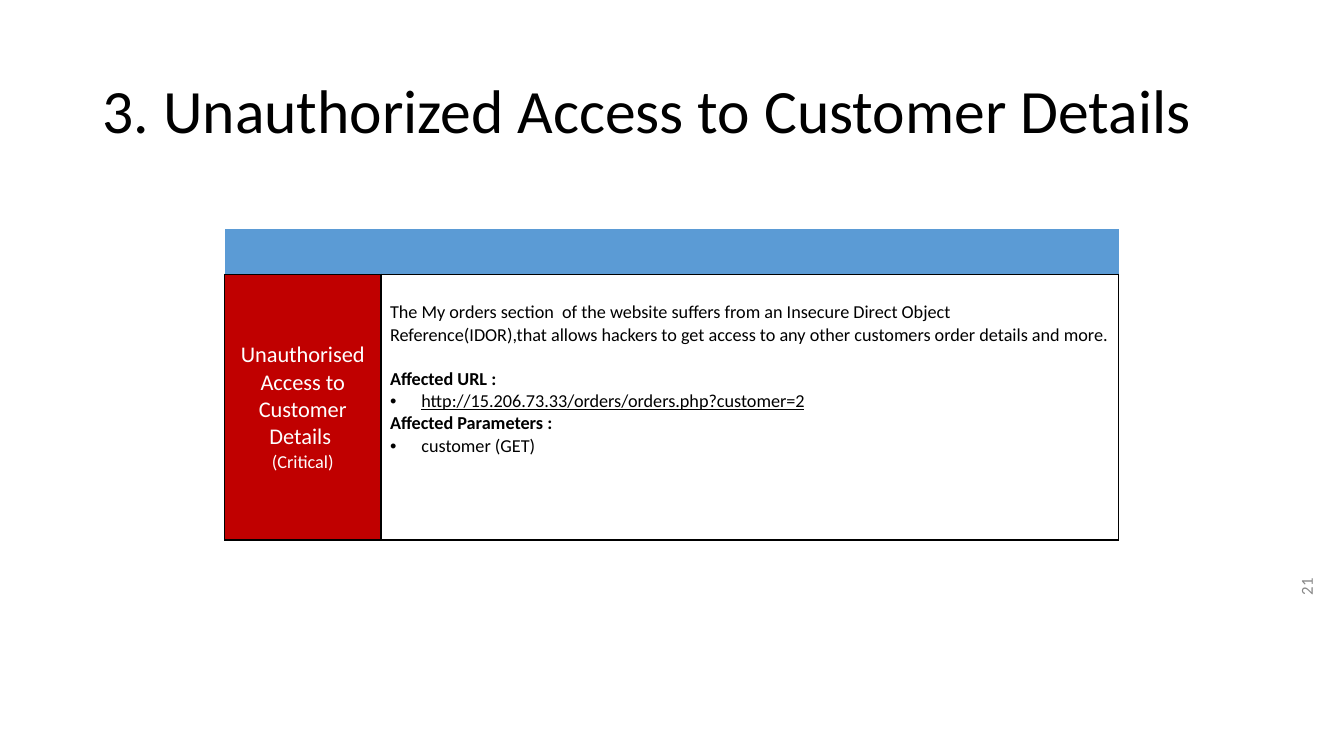
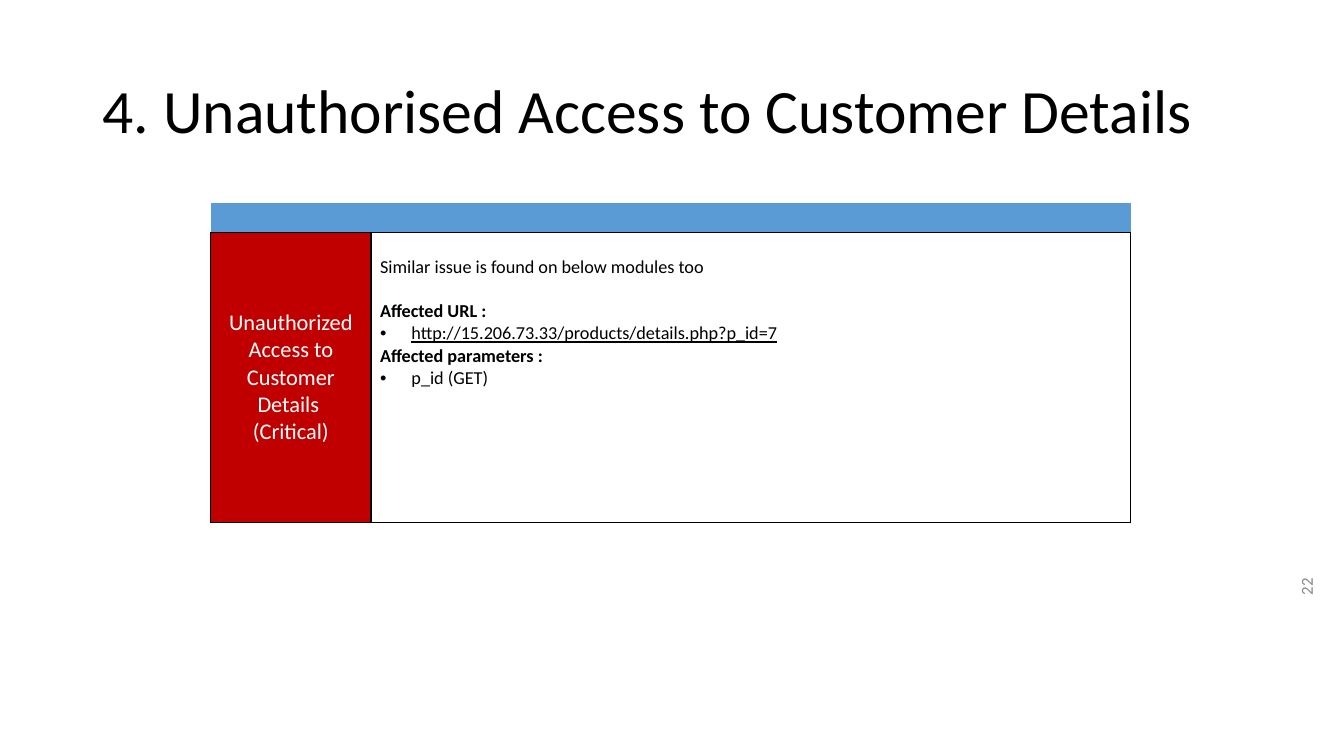
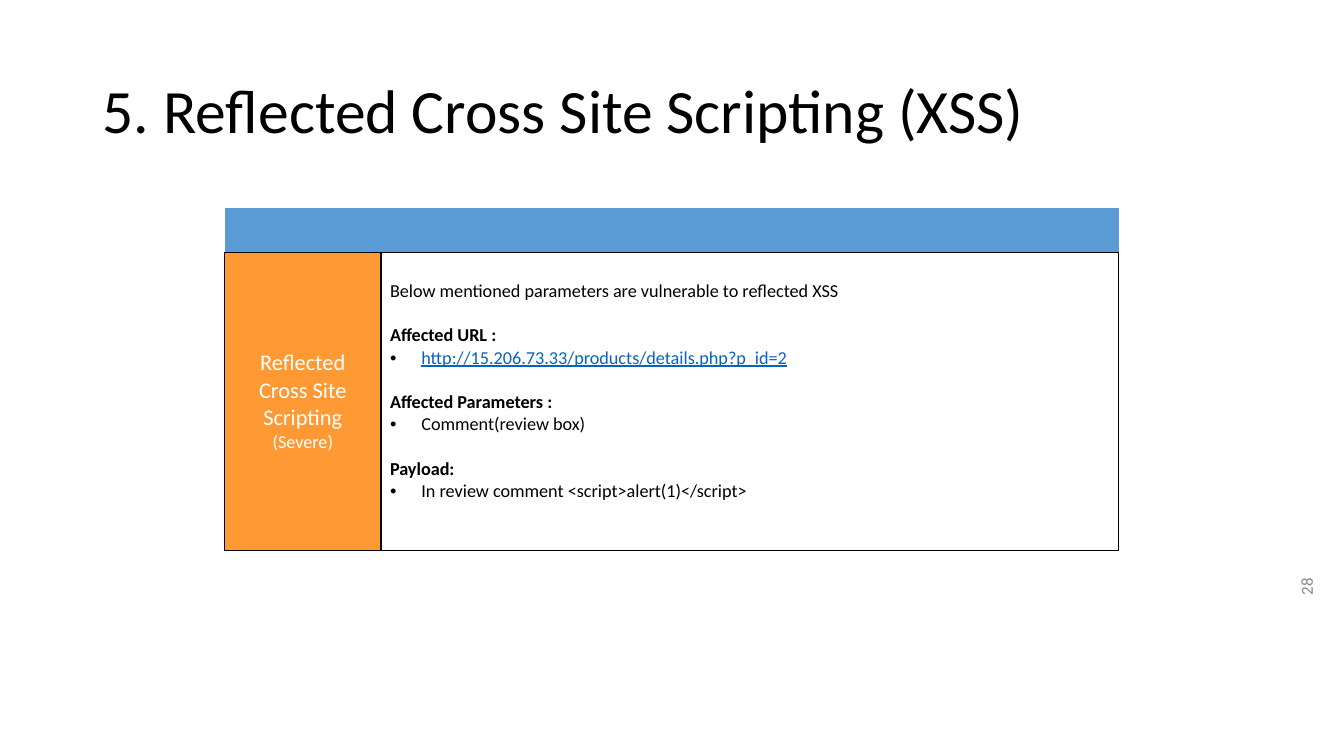
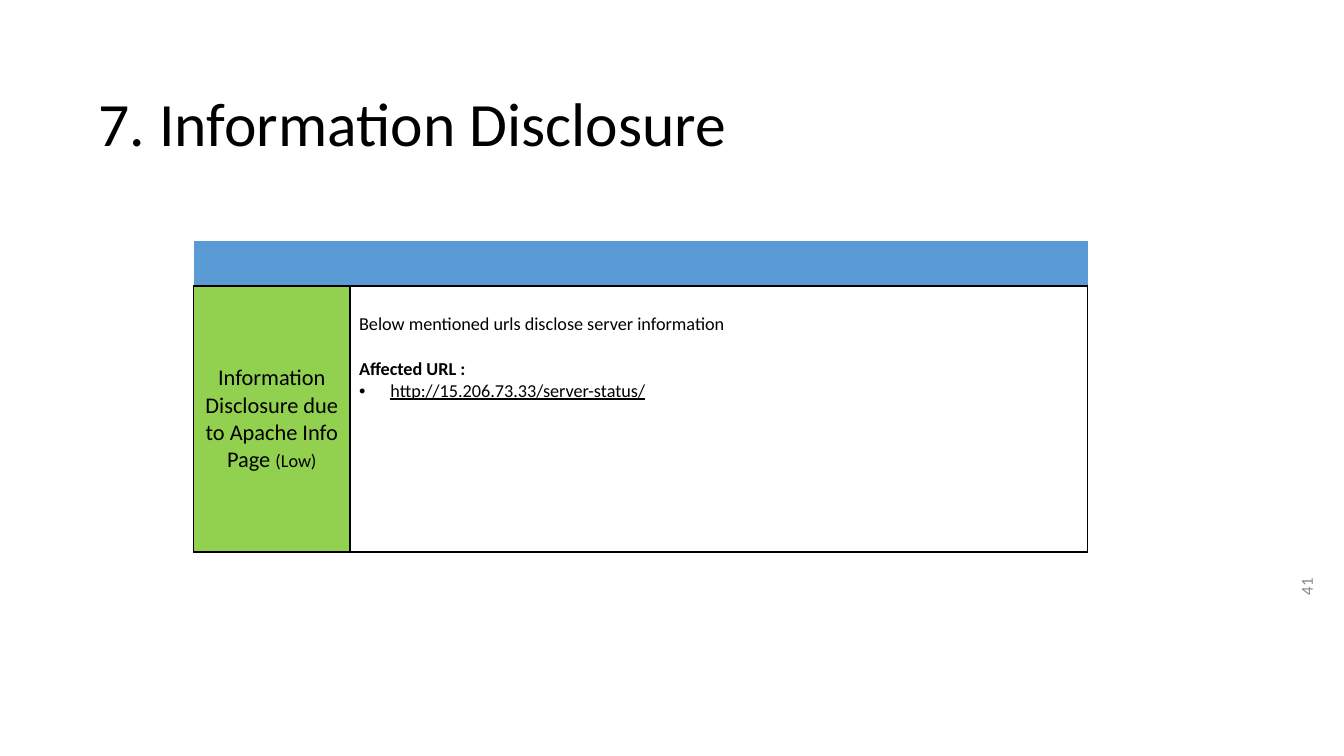
"""Build four slides that each report one security finding in a table."""

from dataclasses import dataclass

import lxml.etree
import pptx
import pptx.dml.color
import pptx.enum.text
import pptx.oxml.ns
import pptx.slide
import pptx.table
import pptx.text.text
import pptx.util

Cm = pptx.util.Cm
Pt = pptx.util.Pt
RGBColor = pptx.dml.color.RGBColor
Align = pptx.enum.text.PP_ALIGN
Anchor = pptx.enum.text.MSO_ANCHOR
qn = pptx.oxml.ns.qn


@dataclass(frozen=True)
class Theme:
    font: str = "Calibri"
    black: str = "000000"
    white: str = "FFFFFF"
    grey: str = "888888"
    header: str = "5B9BD5"
    link: str = "0563C1"
    critical: str = "C00000"
    severe: str = "FF9933"
    low: str = "92D050"
    title_size: float = 44
    label_size: float = 16
    body_size: float = 13
    number_size: float = 12
    header_size: float = 8
    gap: float = 15.9
    plain_table: str = "{2D5ABB26-0587-4C30-8999-92F81FD0307C}"


THEME = Theme()


@dataclass(frozen=True)
class Line:
    text: str
    bold: bool = False
    bullet: bool = False
    underline: bool = False
    gap: bool = False
    color: str = THEME.black


@dataclass(frozen=True)
class Grid:
    left: float
    top: float
    widths: tuple[float, float] = (3.94, 18.59)
    heights: tuple[float, float] = (1.14, 6.7)
    text_top: float = 0.69


@dataclass(frozen=True)
class Finding:
    number: str
    title: str
    label: str
    severity: str
    fill: str
    grid: Grid
    lines: tuple[Line, ...]
    label_color: str = THEME.white
    severity_size: float = THEME.body_size
    severity_below: bool = False
    title_at: tuple[float, float] = (2.34, 1.02)


def heading(text: str, gap: bool = False) -> Line:
    return Line(text, bold=True, gap=gap)


def item(text: str) -> Line:
    return Line(text, bullet=True)


def url(text: str, color: str = THEME.black) -> Line:
    return Line(text, bullet=True, underline=True, color=color)


FINDINGS = (
    Finding(
        "21", "3. Unauthorized Access to Customer Details",
        "Unauthorised Access to Customer Details", "(Critical)",
        THEME.critical, Grid(5.66, 5.77),
        (
            Line("The My orders section  of the website suffers from an Insecure "
                 "Direct Object Reference(IDOR),that allows hackers to get access "
                 "to any other customers order details and more."),
            heading("Affected URL :", gap=True),
            url("http://15.206.73.33/orders/orders.php?customer=2"),
            heading("Affected Parameters :"),
            item("customer (GET)"),
        ),
        severity_below=True,
    ),
    Finding(
        "22", "4. Unauthorised Access to Customer Details",
        "Unauthorized Access to Customer Details", "(Critical)",
        THEME.critical,
        Grid(5.31, 5.11, (4.04, 19.15), (0.74, 7.32), 0.6),
        (
            Line("Similar issue is found on below modules too"),
            heading("Affected URL :", gap=True),
            url("http://15.206.73.33/products/details.php?p_id=7"),
            heading("Affected parameters :"),
            item("p_id (GET)"),
        ),
        severity_size=THEME.label_size,
        severity_below=True,
    ),
    Finding(
        "28", "5. Reflected Cross Site Scripting (XSS)",
        "Reflected Cross Site Scripting", "(Severe)",
        THEME.severe, Grid(5.66, 5.23, heights=(1.14, 7.5)),
        (
            Line("Below mentioned parameters are vulnerable to reflected XSS"),
            heading("Affected URL :", gap=True),
            url("http://15.206.73.33/products/details.php?p_id=2", THEME.link),
            heading("Affected Parameters :", gap=True),
            item("Comment(review box)"),
            heading("Payload:", gap=True),
            item("In review comment <script>alert(1)</script>"),
        ),
    ),
    Finding(
        "41", "7. Information Disclosure",
        "Information Disclosure due to Apache Info Page", "(Low)",
        THEME.low, Grid(4.88, 6.07),
        (
            Line("Below mentioned urls disclose server information"),
            heading("Affected URL :", gap=True),
            url("http://15.206.73.33/server-status/"),
        ),
        label_color=THEME.black,
        title_at=(2.24, 1.35),
    ),
)


def set_font(font: pptx.text.text.Font, size: float, color: str) -> None:
    font.name = THEME.font
    font.size = Pt(size)
    font.color.rgb = RGBColor.from_string(color)


def add_text(page: pptx.slide.Slide, text: str, left: float, top: float,
             width: float, height: float, size: float, color: str,
             align: Align = Align.LEFT, rotation: float = 0,
             spacing: float = 1.0) -> None:
    box = page.shapes.add_textbox(Cm(left), Cm(top), Cm(width), Cm(height))
    box.rotation = rotation
    frame = box.text_frame
    frame.word_wrap = True
    frame.vertical_anchor = Anchor.MIDDLE
    para = frame.paragraphs[0]
    para.text = text
    para.alignment = align
    para.line_spacing = spacing
    set_font(para.font, size, color)


def add_bullet(para: pptx.text.text._Paragraph) -> None:
    props = para._p.get_or_add_pPr()
    props.set("marL", str(Cm(0.79)))
    props.set("indent", str(-Cm(0.79)))
    color = lxml.etree.SubElement(props, qn("a:buClr"))
    lxml.etree.SubElement(color, qn("a:srgbClr"), val=THEME.black)
    lxml.etree.SubElement(props, qn("a:buFont"), typeface="Arial")
    lxml.etree.SubElement(props, qn("a:buChar"), char="•")


def add_borders(cell: pptx.table._Cell) -> None:
    props = cell._tc.get_or_add_tcPr()
    for side in ("a:lnL", "a:lnR", "a:lnT", "a:lnB"):
        border = lxml.etree.SubElement(props, qn(side), w=str(Pt(1)))
        fill = lxml.etree.SubElement(border, qn("a:solidFill"))
        lxml.etree.SubElement(fill, qn("a:srgbClr"), val=THEME.black)


def fill_cell(cell: pptx.table._Cell, color: str) -> None:
    cell.fill.solid()
    cell.fill.fore_color.rgb = RGBColor.from_string(color)
    cell.margin_left = cell.margin_right = Cm(0.23)


def write_label(cell: pptx.table._Cell, finding: Finding) -> None:
    cell.vertical_anchor = Anchor.MIDDLE
    para = cell.text_frame.paragraphs[0]
    para.alignment = Align.CENTER
    set_font(para.font, THEME.label_size, finding.label_color)
    para.add_run().text = finding.label + " "
    if finding.severity_below:
        para.add_line_break()
    span = para.add_run()
    span.text = finding.severity
    span.font.size = Pt(finding.severity_size)


def write_details(cell: pptx.table._Cell, finding: Finding) -> None:
    cell.margin_top = Cm(finding.grid.text_top)
    frame = cell.text_frame
    for index, line in enumerate(finding.lines):
        para = frame.add_paragraph() if index else frame.paragraphs[0]
        para.text = line.text
        if line.gap:
            para.space_before = Pt(THEME.gap)
        if line.bullet:
            add_bullet(para)
        set_font(para.font, THEME.body_size, line.color)
        para.font.bold = line.bold
        para.font.underline = line.underline


def add_finding_table(page: pptx.slide.Slide, finding: Finding) -> None:
    grid = finding.grid
    table = page.shapes.add_table(
        2, 2, Cm(grid.left), Cm(grid.top),
        Cm(sum(grid.widths)), Cm(sum(grid.heights))).table
    table.first_row = table.horz_banding = False
    table._tbl.tblPr.find(qn("a:tableStyleId")).text = THEME.plain_table
    for column, width in zip(table.columns, grid.widths):
        column.width = Cm(width)
    for row, height in zip(table.rows, grid.heights):
        row.height = Cm(height)
    for cell in table.rows[0].cells:
        fill_cell(cell, THEME.header)
        cell.margin_top = cell.margin_bottom = Cm(0)
        cell.text_frame.paragraphs[0].font.size = Pt(THEME.header_size)
    for cell, color in zip(table.rows[1].cells, (finding.fill, THEME.white)):
        add_borders(cell)
        fill_cell(cell, color)
    write_label(table.cell(1, 0), finding)
    write_details(table.cell(1, 1), finding)


def add_finding(deck: pptx.presentation.Presentation, finding: Finding) -> None:
    page = deck.slides.add_slide(deck.slide_layouts[6])
    add_text(page, finding.number, 31.09, 15.52, 3.66, 1.27,
             THEME.number_size, THEME.grey, Align.RIGHT, rotation=270)
    add_text(page, finding.title, *finding.title_at, 29.21, 3.68,
             THEME.title_size, THEME.black, spacing=0.9)
    add_finding_table(page, finding)


def main() -> None:
    deck = pptx.Presentation()
    deck.slide_width = Cm(33.87)
    deck.slide_height = Cm(19.05)
    for finding in FINDINGS:
        add_finding(deck, finding)
    deck.save("out.pptx")


if __name__ == "__main__":
    main()
